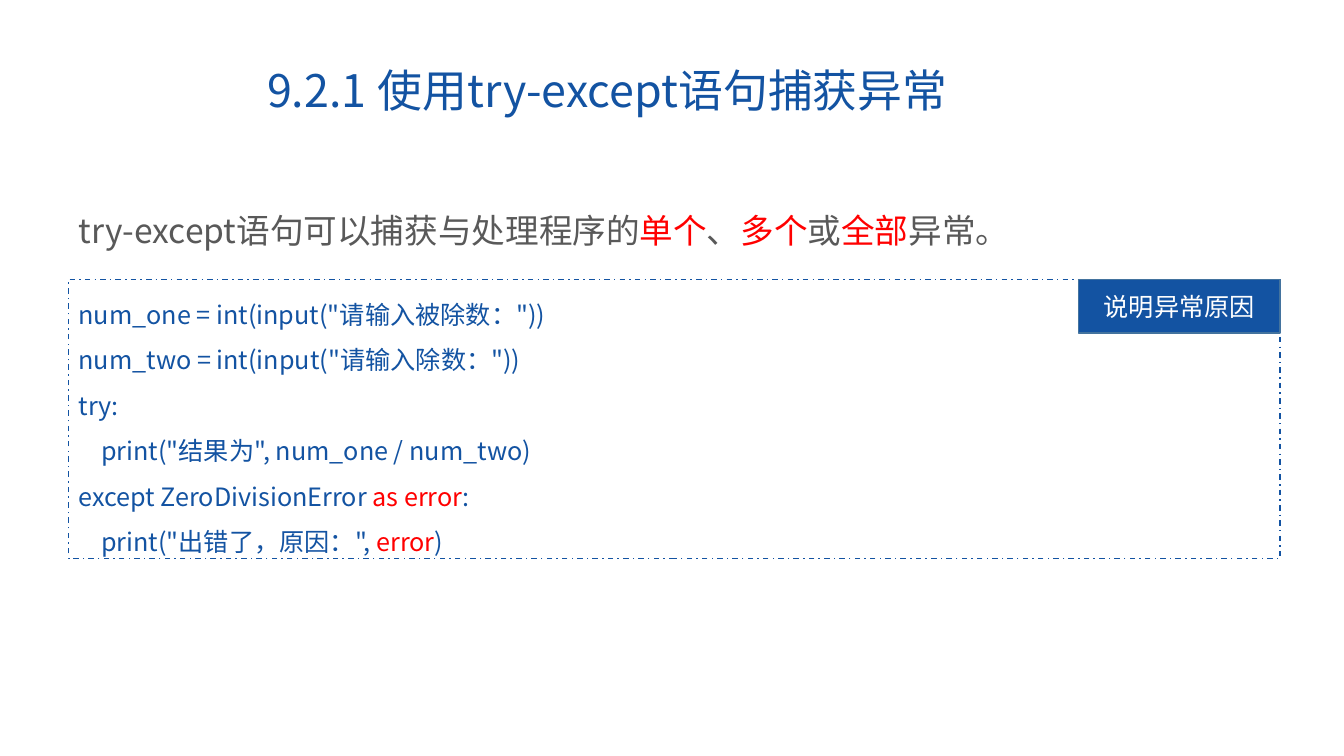
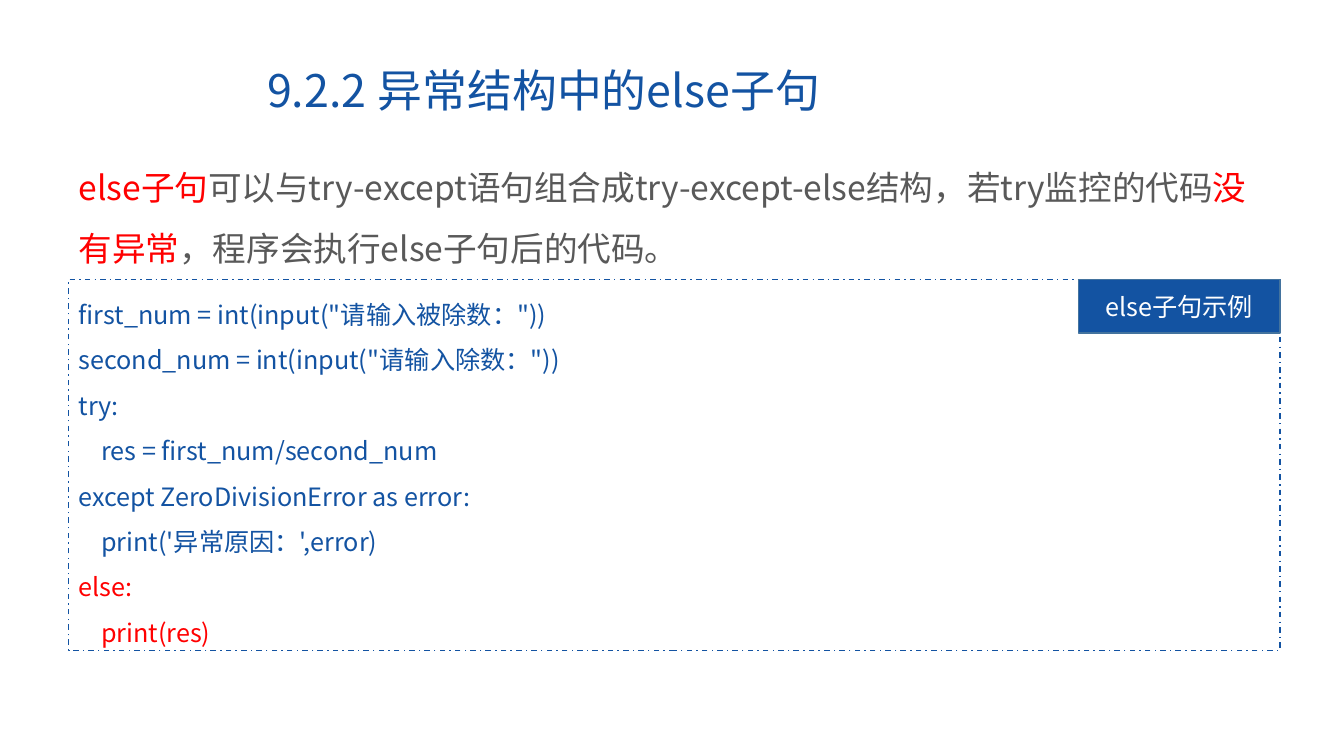
import pptx
import pptx.util
import pptx.dml.color
import pptx.enum.dml
import pptx.enum.shapes
import pptx.enum.text
import pptx.oxml.ns
import lxml.etree

Cm, Pt = pptx.util.Cm, pptx.util.Pt
Anchor = pptx.enum.text.MSO_ANCHOR
Fit = pptx.enum.text.MSO_AUTO_SIZE

# Shared style
FONT = "Noto Sans CJK SC"
BLUE, GREY, RED, WHITE, EDGE = "1353A2", "595959", "FF0000", "FFFFFF", "43739E"
LEFT, WIDTH = 1.73, 30.53
TOP = 7.04
TAB_W, TAB_H = 5.08, 1.35


def rgb(code):
    return pptx.dml.color.RGBColor.from_string(code)


def write(shape, lines, size, color, space, anchor=Anchor.TOP,
          fit=Fit.SHAPE_TO_FIT_TEXT, align=pptx.enum.text.PP_ALIGN.LEFT):
    """Fill a shape with lines; parts between bars are red."""
    frame = shape.text_frame
    frame.word_wrap = True
    frame.auto_size = fit
    frame.vertical_anchor = anchor
    for i, line in enumerate(lines):
        para = frame.add_paragraph() if i else frame.paragraphs[0]
        para.line_spacing = space
        para.alignment = align
        font = para.font
        font.size = Pt(size)
        font.name = FONT
        font.color.rgb = rgb(color)
        # Chinese letters take the same font
        base = para._p.pPr.find(pptx.oxml.ns.qn("a:defRPr"))
        lxml.etree.SubElement(base, pptx.oxml.ns.qn("a:ea"), typeface=FONT)
        for j, part in enumerate(line.split("|")):
            if part:
                run = para.add_run()
                run.text = part
                if j % 2:
                    run.font.color.rgb = rgb(RED)


# Content: title, intro, intro top and height, label, code height, code
pages = [
    ("9.2.1\t 使用try-except语句捕获异常",
     "try-except语句可以捕获与处理程序的|单个|、|多个|或|全部|异常。",
     4.65, 1.63, "说明异常原因", 7.04,
     ['num_one = int(input("请输入被除数："))',
      'num_two = int(input("请输入除数："))',
      'try:',
      '    print("结果为", num_one / num_two)',
      'except ZeroDivisionError |as error|:',
      '    print("出错了，原因：", |error|)']),
    ("9.2.2\t 异常结构中的else子句",
     "|else子句|可以与try-except语句组合成try-except-else结构，"
     "若try监控的代码|没有异常|，程序会执行else子句后的代码。",
     3.58, 3.15, "else子句示例", 9.35,
     ['first_num = int(input("请输入被除数："))',
      'second_num = int(input("请输入除数："))',
      'try:',
      '    res = first_num/second_num',
      'except ZeroDivisionError as error:',
      "    print('异常原因：',error)",
      '|else:|',
      '|    print(res)|']),
]

deck = pptx.Presentation()
deck.slide_width, deck.slide_height = Cm(33.87), Cm(19.05)
RECT = pptx.enum.shapes.MSO_SHAPE.RECTANGLE

for title, intro, y, h, label, code_h, code in pages:
    shapes = deck.slides.add_slide(deck.slide_layouts[6]).shapes

    # Title
    head = shapes.add_textbox(Cm(6.48), Cm(1.6), Cm(23.22), Cm(1.5))
    write(head, [title], 32, BLUE, 0.9, Anchor.MIDDLE)

    # Intro
    text = shapes.add_textbox(Cm(LEFT), Cm(y), Cm(WIDTH), Cm(h))
    write(text, [intro], 24, GREY, 1.5)

    # Code frame
    box = shapes.add_shape(RECT, Cm(LEFT), Cm(TOP), Cm(WIDTH), Cm(code_h))
    box.shadow.inherit = False
    box.fill.background()
    box.line.color.rgb = rgb(BLUE)
    box.line.width = Pt(1)
    box.line.dash_style = pptx.enum.dml.MSO_LINE.DASH_DOT
    write(box, code, 18, BLUE, 1.5)

    # Label in the top right corner of the frame
    tag = shapes.add_shape(RECT, Cm(LEFT + WIDTH - TAB_W), Cm(TOP),
                           Cm(TAB_W), Cm(TAB_H))
    tag.shadow.inherit = False
    tag.fill.solid()
    tag.fill.fore_color.rgb = rgb(BLUE)
    tag.line.color.rgb = rgb(EDGE)
    tag.line.width = Pt(1)
    write(tag, [label], 18, WHITE, 1.0, Anchor.MIDDLE, Fit.NONE,
          pptx.enum.text.PP_ALIGN.CENTER)

deck.save("out.pptx")
